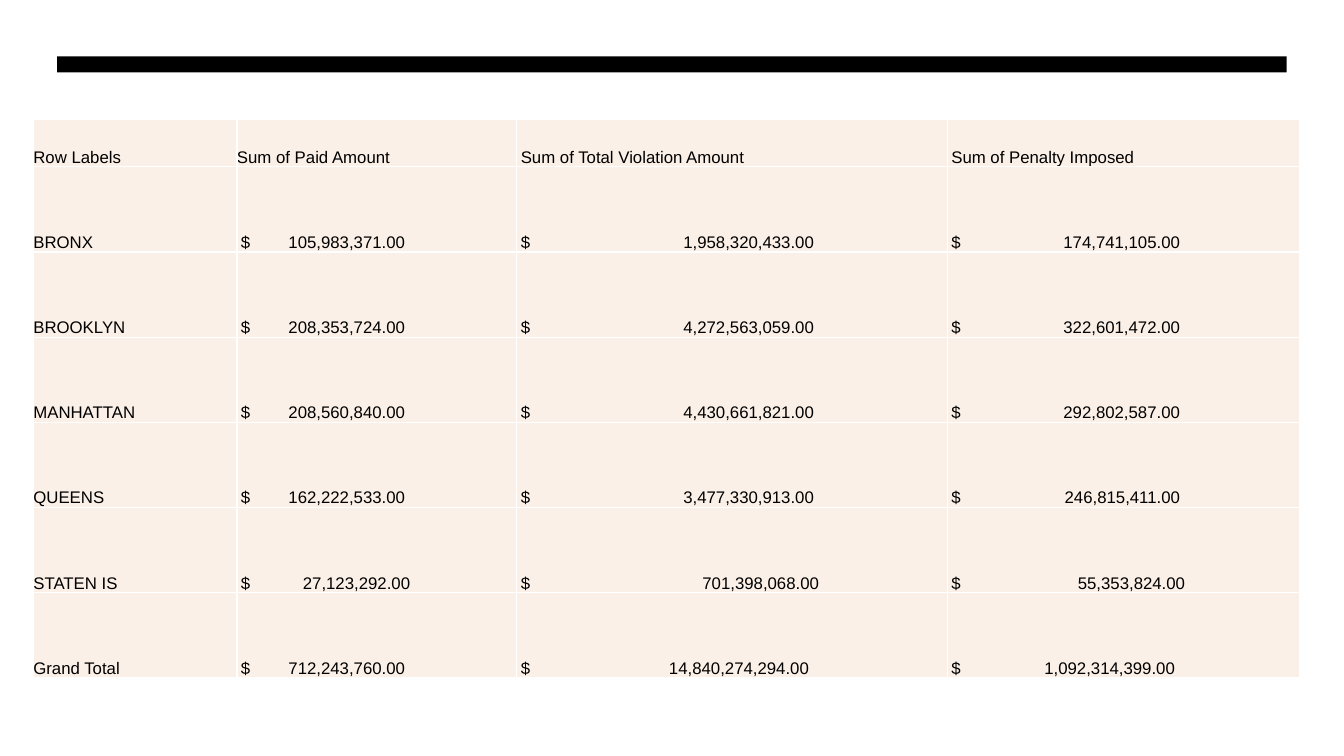
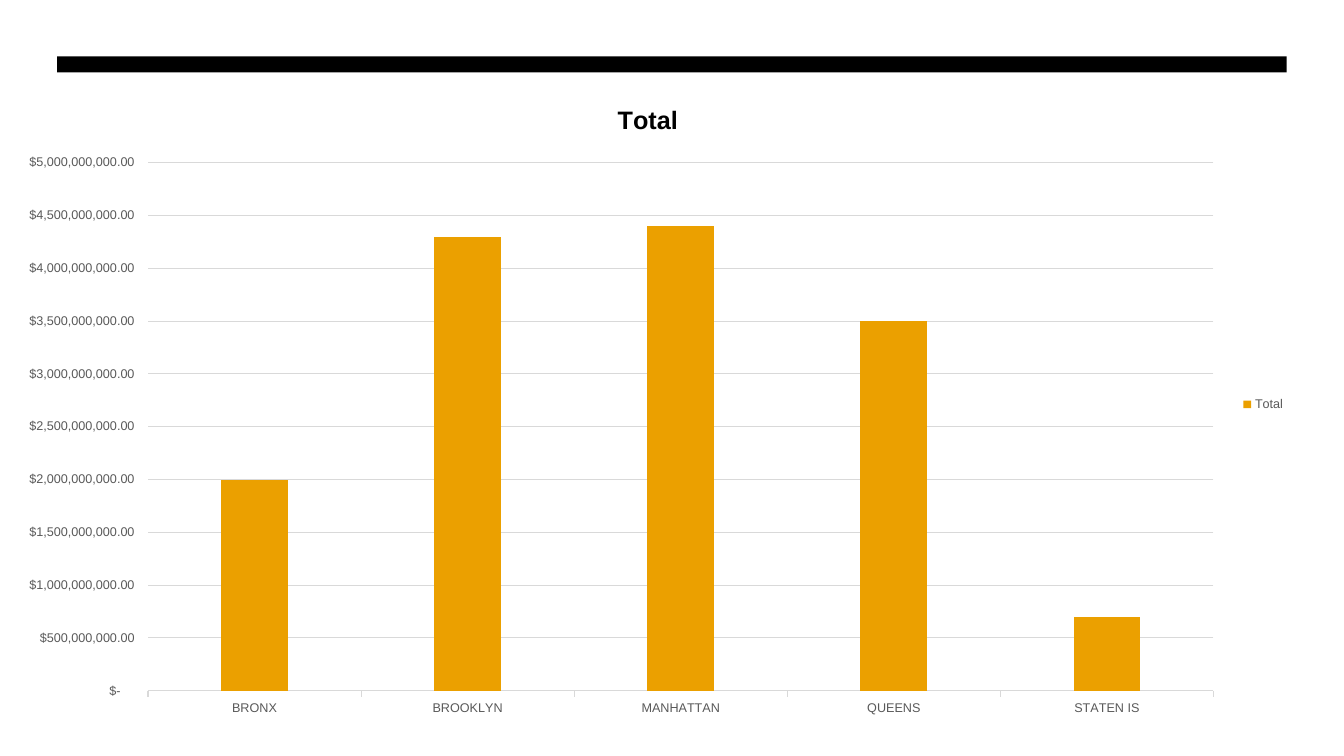
from dataclasses import dataclass

from lxml import etree
from pptx import Presentation
from pptx import util as u
from pptx.chart.data import CategoryChartData
from pptx.dml.color import RGBColor
from pptx.enum import chart as chart_enum
from pptx.enum import shapes, text
from pptx.oxml import ns

SLIDE_WIDTH, SLIDE_HEIGHT = u.Inches(13.33), u.Inches(7.5)
BLANK_LAYOUT = 6


@dataclass(frozen=True)
class Theme:
    font: str = "Arial"
    ink: str = "000000"
    paper: str = "FFFFFF"
    cell: str = "FBF0E7"
    accent: str = "EBA000"
    label: str = "595959"
    grid: str = "D9D9D9"
    title_size: float = 18
    body_size: float = 12
    chart_size: float = 10
    label_size: float = 9
    border: float = 1
    hairline: float = 0.75


@dataclass(frozen=True)
class Frame:
    """A rectangle in percent of the slide's width and height."""
    left: float
    top: float
    width: float
    height: float

    def lengths(self) -> tuple[int, int, int, int]:
        return (int(SLIDE_WIDTH * self.left / 100), int(SLIDE_HEIGHT * self.top / 100),
                int(SLIDE_WIDTH * self.width / 100), int(SLIDE_HEIGHT * self.height / 100))


@dataclass(frozen=True)
class Column:
    """share is percent of the table's width; inset and edge are in inches."""
    heading: str
    share: float
    heading_inset: float = 0
    amount_edge: float = 0
    usual_digits: int = 0

    def edge_for(self, amount: int) -> float:
        """Right edge of an amount: shorter ones end a little further right."""
        return self.amount_edge + DIGIT_SHIFT * (self.usual_digits - len(str(amount)))


@dataclass(frozen=True)
class Borough:
    name: str
    paid: int
    violation: int
    penalty: int

    def amounts(self) -> tuple[int, int, int]:
        return self.paid, self.violation, self.penalty


THEME = Theme()
BAR = Frame(4.25, 7.45, 91.48, 2.13)
TABLE = Frame(2.48, 15.8, 94.22, 73.87)
CHART = Frame(0, 10.65, 96.4, 85.7)
SMALL_INSET = 0.04
DIGIT_SHIFT = 0.05
HEADING_ROW_SHARE = 8.48
MONEY_FORMAT = '_("$"* #,##0.00_);_("$"* \\(#,##0.00\\);_("$"* "-"??_);_(@_)'

COLUMNS = (
    Column("Row Labels", 16.08),
    Column("Sum of Paid Amount", 22.1, amount_edge=1.67, usual_digits=9),
    Column("Sum of Total Violation Amount", 34, SMALL_INSET, 2.95, 10),
    Column("Sum of Penalty Imposed", 27.82, SMALL_INSET, 2.31, 9),
)
BOROUGHS = (
    Borough("BRONX", 105983371, 1958320433, 174741105),
    Borough("BROOKLYN", 208353724, 4272563059, 322601472),
    Borough("MANHATTAN", 208560840, 4430661821, 292802587),
    Borough("QUEENS", 162222533, 3477330913, 246815411),
    Borough("STATEN IS", 27123292, 701398068, 55353824),
)
GRAND_TOTAL = Borough("Grand Total", 712243760, 14840274294, 1092314399)


def rgb(color: str) -> RGBColor:
    return RGBColor.from_string(color)


def style_font(font, *, size: float, color: str = THEME.ink, bold: bool = False) -> None:
    font.name, font.size, font.bold = THEME.font, u.Pt(size), bold
    font.color.rgb = rgb(color)


def write(frame, content: str, *, size: float, color: str = THEME.ink, bold: bool = False):
    paragraph = frame.paragraphs[0]
    run = paragraph.add_run()
    run.text = content
    style_font(run.font, size=size, color=color, bold=bold)
    return paragraph


def add_right_tab(paragraph, position: float) -> None:
    properties = paragraph._p.get_or_add_pPr()
    tabs = etree.SubElement(properties, ns.qn("a:tabLst"))
    etree.SubElement(tabs, ns.qn("a:tab"), pos=str(u.Inches(position)), algn="r")


def add_borders(cell) -> None:
    properties = cell._tc.get_or_add_tcPr()
    for index, side in enumerate(("lnL", "lnR", "lnT", "lnB")):
        line = etree.Element(ns.qn(f"a:{side}"), w=str(u.Pt(THEME.border)))
        fill = etree.SubElement(line, ns.qn("a:solidFill"))
        etree.SubElement(fill, ns.qn("a:srgbClr"), val=THEME.paper)
        properties.insert(index, line)


def fill_cell(cell, content: str, inset: float = 0, amount_edge: float = 0) -> None:
    cell.margin_left = u.Inches(inset)
    cell.margin_right = cell.margin_top = cell.margin_bottom = 0
    cell.vertical_anchor = text.MSO_ANCHOR.BOTTOM
    cell.fill.solid()
    cell.fill.fore_color.rgb = rgb(THEME.cell)
    add_borders(cell)
    paragraph = write(cell.text_frame, content, size=THEME.body_size)
    if amount_edge:
        add_right_tab(paragraph, amount_edge - inset)


def add_barred_slide(presentation):
    slide = presentation.slides.add_slide(presentation.slide_layouts[BLANK_LAYOUT])
    bar = slide.shapes.add_shape(shapes.MSO_SHAPE.RECTANGLE, *BAR.lengths())
    bar.shadow.inherit = False
    bar.fill.solid()
    bar.fill.fore_color.rgb = rgb(THEME.ink)
    bar.line.fill.background()
    return slide


def add_amount_table(slide) -> None:
    records = (*BOROUGHS, GRAND_TOTAL)
    left, top, width, height = TABLE.lengths()
    table = slide.shapes.add_table(
        len(records) + 1, len(COLUMNS), left, top, width, height).table
    table.first_row = table.horz_banding = False

    heading_height = int(height * HEADING_ROW_SHARE / 100)
    for row in table.rows:
        row.height = (height - heading_height) // len(records)
    table.rows[0].height = heading_height

    for index, column in enumerate(COLUMNS):
        table.columns[index].width = int(width * column.share / 100)
        fill_cell(table.cell(0, index), column.heading, column.heading_inset)
    for row_index, record in enumerate(records, start=1):
        fill_cell(table.cell(row_index, 0), record.name)
        for index, amount in enumerate(record.amounts(), start=1):
            fill_cell(table.cell(row_index, index), f"$\t{amount:,.2f}",
                      SMALL_INSET, COLUMNS[index].edge_for(amount))


def style_axes(chart) -> None:
    for axis in (chart.category_axis, chart.value_axis):
        style_font(axis.tick_labels.font, size=THEME.label_size, color=THEME.label)
        axis.major_tick_mark = chart_enum.XL_TICK_MARK.OUTSIDE
    amounts = chart.value_axis
    amounts.minimum_scale, amounts.maximum_scale = 0, 5_000_000_000
    amounts.major_unit = 500_000_000
    amounts.tick_labels.number_format = MONEY_FORMAT
    amounts.tick_labels.number_format_is_linked = False
    amounts.format.line.fill.background()
    for line in (chart.category_axis.format.line, amounts.major_gridlines.format.line):
        line.color.rgb = rgb(THEME.grid)
        line.width = u.Pt(THEME.hairline)


def add_violation_chart(slide) -> None:
    """Chart the violation amounts, rounded to hundreds of millions."""
    data = CategoryChartData(number_format=MONEY_FORMAT)
    data.categories = [borough.name for borough in BOROUGHS]
    data.add_series("Total", [round(borough.violation, -8) for borough in BOROUGHS])
    chart = slide.shapes.add_chart(
        chart_enum.XL_CHART_TYPE.COLUMN_CLUSTERED, *CHART.lengths(), data).chart
    style_font(chart.font, size=THEME.chart_size)

    chart.has_title = True
    write(chart.chart_title.text_frame, "Total", size=THEME.title_size, bold=True)
    chart.chart_title.include_in_layout = False
    chart.has_legend = True
    chart.legend.position = chart_enum.XL_LEGEND_POSITION.RIGHT
    chart.legend.include_in_layout = False
    style_font(chart.legend.font, size=THEME.label_size, color=THEME.label)

    plot = chart.plots[0]
    plot.gap_width = 219
    plot.vary_by_categories = False
    bars = plot.series[0].format.fill
    bars.solid()
    bars.fore_color.rgb = rgb(THEME.accent)
    style_axes(chart)


def main() -> None:
    presentation = Presentation()
    presentation.slide_width, presentation.slide_height = SLIDE_WIDTH, SLIDE_HEIGHT
    add_amount_table(add_barred_slide(presentation))
    add_violation_chart(add_barred_slide(presentation))
    presentation.save("out.pptx")


if __name__ == "__main__":
    main()
